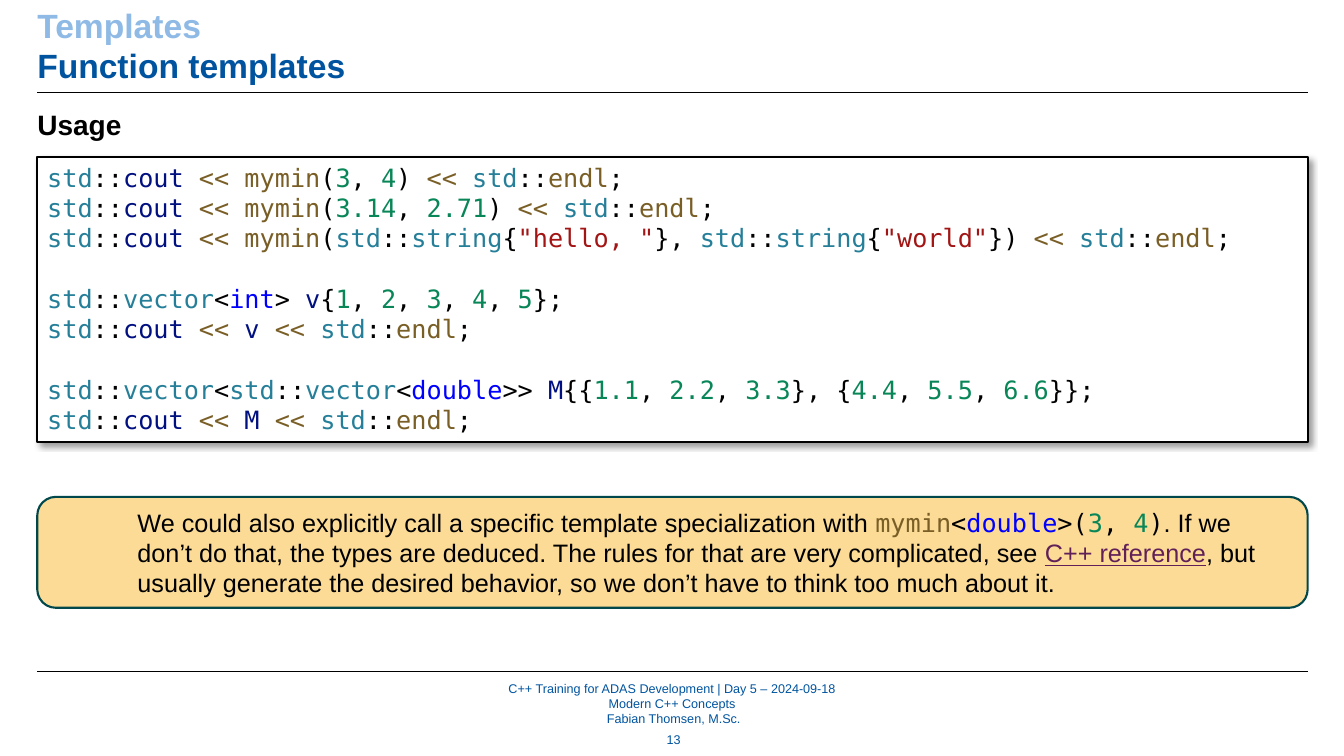
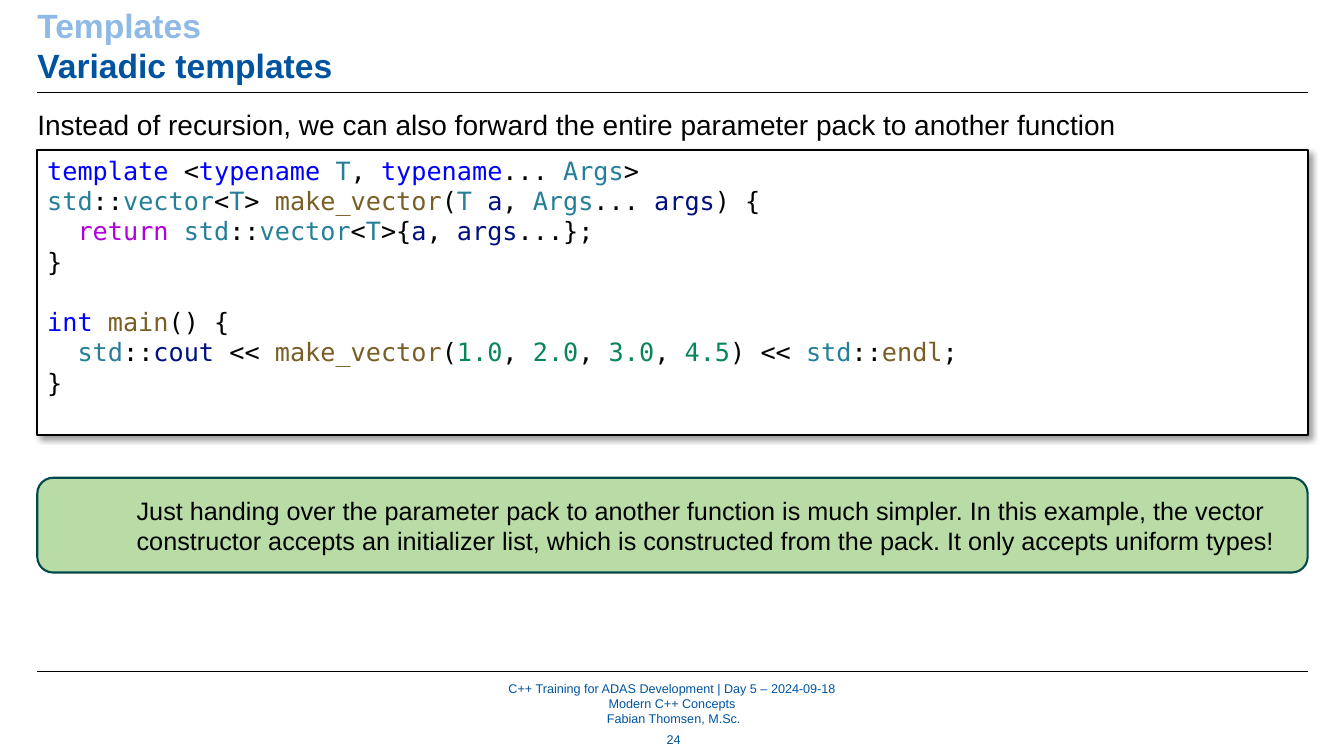
from itertools import groupby

from lxml import etree
from pptx import Presentation
from pptx.dml.color import RGBColor
from pptx.enum.shapes import MSO_CONNECTOR, MSO_SHAPE
from pptx.enum.text import MSO_ANCHOR, PP_ALIGN
from pptx.oxml.ns import qn
from pptx.util import Inches, Pt

RECTANGLE, ROUNDED = MSO_SHAPE.RECTANGLE, MSO_SHAPE.ROUNDED_RECTANGLE
STRAIGHT = MSO_CONNECTOR.STRAIGHT
TOP, MIDDLE = MSO_ANCHOR.TOP, MSO_ANCHOR.MIDDLE
LEFT, CENTER = PP_ALIGN.LEFT, PP_ALIGN.CENTER

BLACK = RGBColor(0x00, 0x00, 0x00)
WHITE = RGBColor(0xFF, 0xFF, 0xFF)
BLUE = RGBColor(0x00, 0x54, 0x9F)
LIGHT_BLUE = RGBColor(0x8E, 0xBA, 0xE5)
PETROL = RGBColor(0x00, 0x48, 0x4B)
ORANGE = RGBColor(0xF6, 0xA8, 0x00)
GREEN = RGBColor(0x57, 0xAB, 0x27)
VIOLET = RGBColor(0x61, 0x21, 0x58)

TYPE = RGBColor(0x26, 0x7F, 0x99)
VARIABLE = RGBColor(0x00, 0x10, 0x80)
FUNCTION = RGBColor(0x79, 0x5E, 0x26)
KEYWORD = RGBColor(0x00, 0x00, 0xFF)
CONTROL = RGBColor(0xAF, 0x00, 0xDB)
NUMBER = RGBColor(0x09, 0x86, 0x58)
STRING = RGBColor(0xA3, 0x15, 0x15)

VOCABULARY = {
    TYPE: "std vector string T Args",
    VARIABLE: "cout v M a args",
    FUNCTION: "mymin make_vector main endl",
    KEYWORD: "int double template typename",
    CONTROL: "return",
}
WORD_COLORS = {word: color for color, words in VOCABULARY.items() for word in words.split()}

SANS, MONO = "Arial", "DejaVu Sans Mono"
WIDTH, HEIGHT = 13.33, 7.5
MARGIN = 0.37
CONTENT_WIDTH = 12.6
RULES = (0.92, 6.66)
CODE_HEIGHT = 2.83
CODE_BLANK_LINE = 21.6
NO_INSETS = (0, 0, 0, 0)
BOX_INSETS = (0.1, 0.05, 0.1, 0.05)
NOTE_INSETS = (0.94, 0.05, 0.1, 0.05)

TITLE = {"name": SANS, "size": Pt(24), "bold": True}
LEAD = {"name": SANS, "size": Pt(20), "color": BLACK}
FOOTER = {"name": SANS, "size": Pt(9), "color": BLUE}
CODE = {"name": MONO, "size": Pt(18)}
NOTE = {"name": SANS, "size": Pt(18), "color": BLACK}
LINK = {**NOTE, "color": VIOLET, "underline": True}

CHAPTER = "Templates"
FOOTER_LINES = [
    "C++ Training for ADAS Development | Day 5 – 2024-09-18",
    "Modern C++ Concepts",
    " Fabian Thomsen, M.Sc.",
]

SLIDES = [
    {
        "title": "Function templates",
        "lead": "Usage",
        "lead_bold": True,
        "code_top": 1.56,
        "shift_color": FUNCTION,
        "code": """\
std::cout << mymin(3, 4) << std::endl;
std::cout << mymin(3.14, 2.71) << std::endl;
std::cout << mymin(std::string{"hello, "}, std::string{"world"}) << std::endl;

std::vector<int> v{1, 2, 3, 4, 5};
std::cout << v << std::endl;

std::vector<std::vector<double>> M{{1.1, 2.2, 3.3}, {4.4, 5.5, 6.6}};
std::cout << M << std::endl;""",
        "note_place": (4.93, 1.1),
        "note_color": ORANGE,
        "note": [
            ("We could also explicitly call a specific template specialization with ", NOTE),
            ("mymin<double>(3, 4)", CODE),
            (". If we don’t do that, the types are deduced. The rules for that are "
             "very complicated, see ", NOTE),
            ("C++ reference", LINK),
            (", but usually generate the desired behavior, so we don’t have to think "
             "too much about it.", NOTE),
        ],
        "number": 13,
    },
    {
        "title": "Variadic templates",
        "lead": "Instead of recursion, we can also forward the entire parameter pack "
                "to another function",
        "lead_bold": False,
        "code_top": 1.49,
        "shift_color": BLACK,
        "code": """\
template <typename T, typename... Args>
std::vector<T> make_vector(T a, Args... args) {
  return std::vector<T>{a, args...};
}

int main() {
  std::cout << make_vector(1.0, 2.0, 3.0, 4.5) << std::endl;
}""",
        "note_place": (4.74, 0.94),
        "note_color": GREEN,
        "note": [
            ("Just handing over the parameter pack to another function is much simpler. "
             "In this example, the vector constructor accepts an initializer list, which "
             "is constructed from the pack. It only accepts uniform types!", NOTE),
        ],
        "number": 24,
    },
]


def highlight(line, shift_color=BLACK):
    """Split a line of C++ into (text, format) spans coloured by syntax."""
    spans = []
    for index, piece in enumerate(line.split('"')):
        if index % 2:
            spans.append((f'"{piece}"', {**CODE, "color": STRING}))
            continue

        def kind(position):
            char, following = piece[position], piece[position + 1:position + 2]
            if char.isalnum() or char == "_" or (char == "." and following.isdigit()):
                return "word"
            return "space" if char == " " else "symbol"

        for _, positions in groupby(range(len(piece)), kind):
            token = "".join(piece[position] for position in positions)
            if token[0].isdigit():
                color = NUMBER
            elif token == "<<":
                color = shift_color
            else:
                color = WORD_COLORS.get(token, BLACK)
            spans.append((token, {**CODE, "color": color}))
    return spans


def add_span(para, text, formats):
    span = para.add_run()
    span.text = text
    for key, value in formats.items():
        if key == "color":
            span.font.color.rgb = value
        else:
            setattr(span.font, key, value)


def fill_text(shape, lines, insets=BOX_INSETS, anchor=TOP, align=LEFT):
    """Write lines of spans; an empty line becomes space before the next one."""
    frame = shape.text_frame
    frame.word_wrap = True
    frame.vertical_anchor = anchor
    for side, inset in zip(("left", "top", "right", "bottom"), insets):
        setattr(frame, f"margin_{side}", Inches(inset))
    para, gap = None, 0
    for spans in lines:
        if not spans:
            gap += CODE_BLANK_LINE
            continue
        para = frame.add_paragraph() if para else frame.paragraphs[0]
        para.alignment = align
        para.space_before = Pt(gap)
        gap = 0
        for text, formats in spans:
            add_span(para, text, formats)


def add_text(page, place, lines, **layout):
    box = page.shapes.add_textbox(*map(Inches, place))
    fill_text(box, lines, **layout)


def add_panel(page, preset, top, height, fill, line):
    panel = page.shapes.add_shape(
        preset, *map(Inches, (MARGIN, top, CONTENT_WIDTH, height)))
    panel.shadow.inherit = False
    panel.fill.solid()
    panel.fill.fore_color.rgb = fill
    panel.line.color.rgb = line
    panel.line.width = Pt(1.5)
    return panel


def set_alpha(color_element, percent):
    etree.SubElement(color_element, qn("a:alpha"), val=str(percent * 1000))


def add_drop_shadow(shape):
    effects = shape.element.spPr.find(qn("a:effectLst"))
    shadow = etree.SubElement(
        effects, qn("a:outerShdw"), blurRad=str(Pt(4)), dist=str(Pt(3)),
        dir=str(45 * 60000), algn="tl", rotWithShape="0")
    set_alpha(etree.SubElement(shadow, qn("a:srgbClr"), val=str(BLACK)), 40)


def add_frame(page, title, number):
    """Add the parts every slide shares: title, rules, footer and page number."""
    add_text(page, (3.43, 6.75, 6.47, 0.46), [[(line, FOOTER)] for line in FOOTER_LINES],
             insets=NO_INSETS, anchor=MIDDLE, align=CENTER)
    for height in RULES:
        rule = page.shapes.add_connector(
            STRAIGHT, *map(Inches, (MARGIN, height, MARGIN + CONTENT_WIDTH, height)))
        rule.line.color.rgb = BLACK
        rule.line.width = Pt(0.5)
        etree.SubElement(rule.element.spPr, qn("a:effectLst"))
    add_text(page, (MARGIN, 0.05, CONTENT_WIDTH, 0.81),
             [[(CHAPTER, {**TITLE, "color": LIGHT_BLUE})],
              [(title, {**TITLE, "color": BLUE})]], insets=NO_INSETS)
    add_text(page, (6.42, 7.21, 0.52, 0.26), [[(str(number), FOOTER)]],
             anchor=MIDDLE, align=CENTER)


def add_code(page, top, code, shift_color):
    panel = add_panel(page, RECTANGLE, top, CODE_HEIGHT, WHITE, BLACK)
    add_drop_shadow(panel)
    fill_text(panel, [highlight(line, shift_color) if line else []
                      for line in code.splitlines()])


def add_note(page, place, color, parts):
    panel = add_panel(page, ROUNDED, *place, color, PETROL)
    set_alpha(panel.element.spPr.find(qn("a:solidFill"))[0], 41)
    spans = []
    for text, formats in parts:
        spans += highlight(text) if formats is CODE else [(text, formats)]
    fill_text(panel, [spans], insets=NOTE_INSETS, anchor=MIDDLE)


def main():
    deck = Presentation()
    deck.slide_width, deck.slide_height = Inches(WIDTH), Inches(HEIGHT)
    for content in SLIDES:
        page = deck.slides.add_slide(deck.slide_layouts[6])
        add_frame(page, content["title"], content["number"])
        add_text(page, (MARGIN, 1.07, CONTENT_WIDTH, 0.4),
                 [[(content["lead"], {**LEAD, "bold": content["lead_bold"]})]],
                 insets=NO_INSETS)
        add_code(page, content["code_top"], content["code"], content["shift_color"])
        add_note(page, content["note_place"], content["note_color"], content["note"])
    deck.save("out.pptx")


if __name__ == "__main__":
    main()
